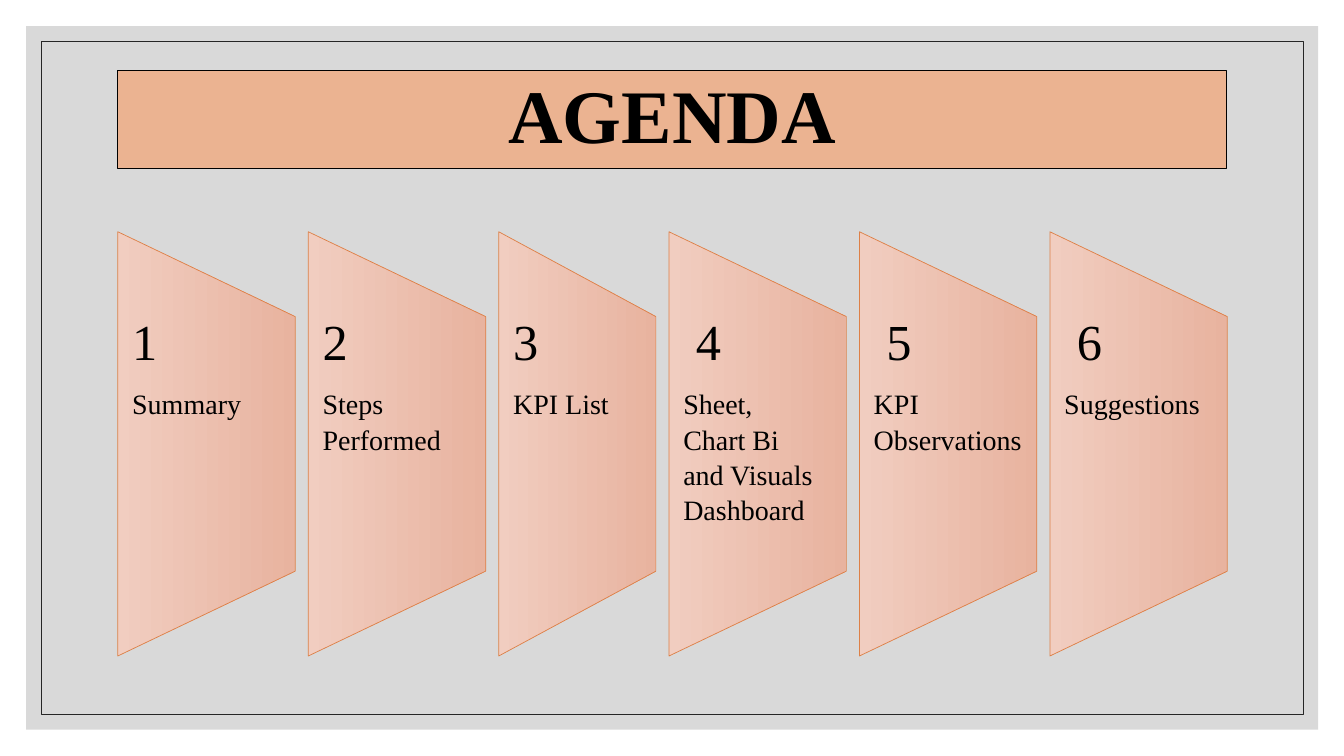
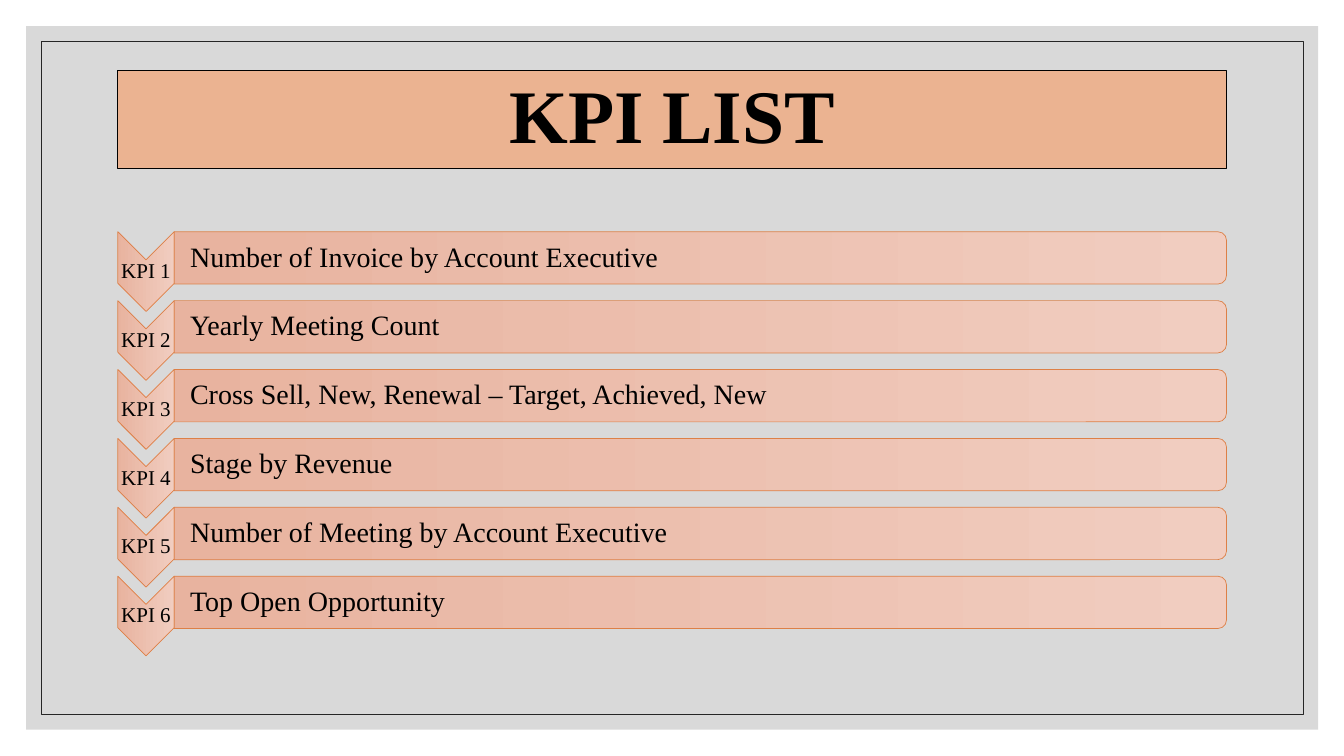
from pptx import Presentation
from pptx.dml.color import RGBColor
from pptx.enum.shapes import MSO_SHAPE as Shape
from pptx.enum.text import MSO_ANCHOR as Anchor, PP_ALIGN as Align
from pptx.util import Cm, Pt

FONT = "Times New Roman"
BLACK = "000000"
BACKDROP, FRAME_LINE = "D9D9D9", "262626"
TITLE_FILL = "EBB391"
LIGHT, DARK, EDGE = "F1CDC0", "E8B39F", "DD8047"

LEFT, WIDTH = 2.97, 27.94
BODY_TOP, BODY_HEIGHT = 5.84, 10.69

AGENDA = [
    ["Summary"],
    ["Steps", "Performed"],
    ["KPI List"],
    ["Sheet,", "Chart Bi", "and Visuals", "Dashboard"],
    ["KPI", "Observations"],
    ["Suggestions"],
]
KPIS = [
    "Number of Invoice by Account Executive",
    "Yearly Meeting Count",
    "Cross Sell, New, Renewal – Target, Achieved, New",
    "Stage by Revenue",
    "Number of Meeting by Account Executive",
    "Top Open Opportunity",
]


def color(value):
    return RGBColor.from_string(value)


def write(para, text, size, bold=False, align=Align.LEFT, after=0, indent=0):
    """Fill one paragraph; after is in points, indent in centimetres."""
    para.alignment = align
    para.line_spacing = 0.9
    para.space_after = Pt(after)
    if indent:
        para._p.get_or_add_pPr().set("marL", str(Cm(indent)))
    span = para.add_run()
    span.text = text
    span.font.name = FONT
    span.font.size = Pt(size)
    span.font.bold = bold
    span.font.color.rgb = color(BLACK)


class Board:
    """Holds the deck, its style and the slide being drawn."""

    def __init__(self):
        self.deck = Presentation()
        self.deck.slide_width = Cm(33.87)
        self.deck.slide_height = Cm(19.05)
        self.slide = None

    def new_slide(self, heading):
        self.slide = self.deck.slides.add_slide(self.deck.slide_layouts[5])
        self.rectangle(0.66, 0.66, 32.56, 17.73, fill=BACKDROP)
        self.rectangle(1.04, 1.04, 31.8, 16.97, line=FRAME_LINE)
        self.title(heading)

    def title(self, heading):
        title = self.slide.shapes.title
        self.slide.shapes._spTree.append(title._element)  # in front of the frames
        title.left, title.top = Cm(LEFT), Cm(1.78)
        title.width, title.height = Cm(WIDTH), Cm(2.46)
        title.fill.solid()
        title.fill.fore_color.rgb = color(TITLE_FILL)
        title.line.color.rgb = color(BLACK)
        title.line.width = Pt(0.75)
        title.text_frame.vertical_anchor = Anchor.MIDDLE
        write(title.text_frame.paragraphs[0], heading, 54, bold=True, align=Align.CENTER)

    def rectangle(self, left, top, width, height, fill=None, line=None):
        box = self.slide.shapes.add_shape(
            Shape.RECTANGLE, Cm(left), Cm(top), Cm(width), Cm(height))
        box.shadow.inherit = False
        if fill:
            box.fill.solid()
            box.fill.fore_color.rgb = color(fill)
        else:
            box.fill.background()
        if line:
            box.line.color.rgb = color(line)
            box.line.width = Pt(0.5)
        else:
            box.line.fill.background()

    def turned(self, kind, left, top, width, height, rotation):
        """Add a gradient shape on its side; the box given is the one seen."""
        shift = (width - height) / 2
        shape = self.slide.shapes.add_shape(
            kind, Cm(left + shift), Cm(top - shift), Cm(height), Cm(width))
        shape.rotation = rotation
        shape.shadow.inherit = False
        shape.fill.gradient()
        shape.fill.gradient_angle = 270
        for stop, position, shade in zip(shape.fill.gradient_stops, (0, 1), (LIGHT, DARK)):
            stop.position = position
            stop.color.rgb = color(shade)
        shape.line.color.rgb = color(EDGE)
        shape.line.width = Pt(0.5)

    def text(self, left, top, width, height, lines, anchor=Anchor.MIDDLE, margins=(0, 0)):
        """Add a text box; lines are pairs of a text and its format."""
        box = self.slide.shapes.add_textbox(Cm(left), Cm(top), Cm(width), Cm(height))
        frame = box.text_frame
        frame.word_wrap = True
        frame.vertical_anchor = anchor
        frame.margin_left, frame.margin_right = (Cm(margin) for margin in margins)
        frame.margin_top = frame.margin_bottom = 0
        for index, (text, style) in enumerate(lines):
            para = frame.add_paragraph() if index else frame.paragraphs[0]
            write(para, text, **style)


def agenda_slide(board):
    board.new_slide("AGENDA")
    gap, left = 0.33, LEFT
    for number, topic in enumerate(AGENDA, 1):
        width = 3.96 if number == 3 else 4.47
        indent = 0.32 if number > 3 else 0
        board.turned(Shape.FLOWCHART_MANUAL_OPERATION,
                     left, BODY_TOP, width, BODY_HEIGHT, 270)
        lines = [(str(number), dict(size=36, after=14, indent=indent))]
        lines += [(line, dict(size=20, after=3.5)) for line in topic]
        board.text(left, 7.98, width, 6.43, lines, anchor=Anchor.TOP, margins=(0.36, 0.35))
        left += width + gap


def kpi_slide(board):
    board.new_slide("KPI LIST")
    tag_width, tag_height, bar_height = 1.42, 2.01, 1.32
    bar_left, bar_width = LEFT + tag_width, WIDTH - tag_width
    pitch = (BODY_HEIGHT - tag_height) / (len(KPIS) - 1)
    for index, kpi in enumerate(KPIS):
        top = BODY_TOP + index * pitch
        tag = (LEFT, top, tag_width, tag_height)
        bar = (bar_left, top, bar_width, bar_height)
        board.turned(Shape.CHEVRON, *tag, 90)
        board.text(*tag, [(f"KPI {index + 1}", dict(size=15, align=Align.CENTER))])
        board.turned(Shape.ROUND_2_SAME_RECTANGLE, *bar, 90)
        board.text(*bar, [(kpi, dict(size=20))], margins=(0.4, 0))


def main():
    board = Board()
    agenda_slide(board)
    kpi_slide(board)
    board.deck.save("out.pptx")


if __name__ == "__main__":
    main()
